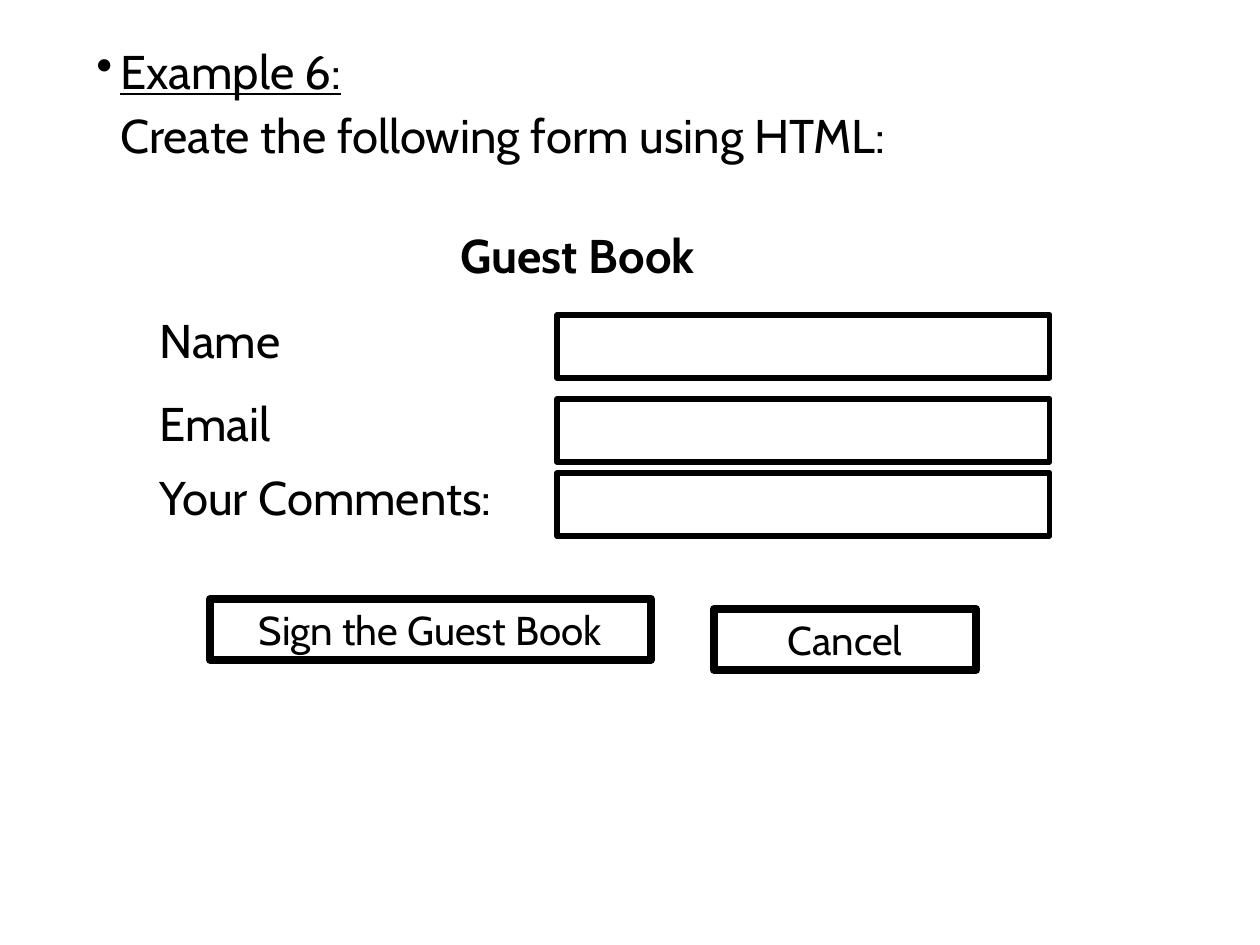
from dataclasses import dataclass

from lxml.etree import SubElement
from pptx import Presentation
from pptx.dml.color import RGBColor
from pptx.enum.shapes import MSO_SHAPE
from pptx.enum.text import MSO_ANCHOR, PP_ALIGN
from pptx.oxml.ns import qn
from pptx.util import Emu, Pt

PX_PER_INCH = 126
SLIDE_WIDTH, SLIDE_HEIGHT = 1260, 945


@dataclass(frozen=True)
class Theme:
    font: str = "Cabin"
    ink: RGBColor = RGBColor(0, 0, 0)
    text_size: float = 27
    button_size: float = 23
    field_line: float = 3
    button_line: float = 4.5


def px(length):
    return Emu(round(length * 914400 / PX_PER_INCH))


class FormSlide:
    def __init__(self, deck, theme):
        self.theme = theme
        self.slide = deck.slides.add_slide(deck.slide_layouts[6])

    def style(self, para, size, align=PP_ALIGN.LEFT, bold=False):
        para.alignment = align
        font = para.font
        font.name, font.size, font.bold = self.theme.font, Pt(size), bold
        font.color.rgb = self.theme.ink

    def text(self, left, top, width, height, *lines, **style):
        box = self.slide.shapes.add_textbox(*map(px, (left, top, width, height)))
        frame = box.text_frame
        frame.word_wrap = True
        frame.text = "\n".join(lines)
        for para in frame.paragraphs:
            self.style(para, self.theme.text_size, **style)
        return frame

    def task(self, left, top, width, height, heading, instruction):
        """Underlined bullet heading with an instruction aligned beneath it."""
        frame = self.text(left, top, width, height, heading, instruction)
        for para in frame.paragraphs:
            para.line_spacing = 0.9
            para.space_before = Pt(7.5)
            para._p.get_or_add_pPr().set("marL", str(px(24)))
        first = frame.paragraphs[0]
        first.font.underline = True
        first.runs[0].font.underline = True
        properties = first._p.get_or_add_pPr()
        properties.set("indent", str(-px(24)))
        bullet = SubElement(properties, qn("a:buChar"))
        bullet.set("char", "•")
        properties.find(qn("a:defRPr")).addprevious(bullet)

    def field(self, left, top, width, height, line_width):
        box = self.slide.shapes.add_shape(
            MSO_SHAPE.RECTANGLE, *map(px, (left, top, width, height)))
        box.shadow.inherit = False
        box.fill.background()
        box.line.color.rgb = self.theme.ink
        box.line.width = Pt(line_width)
        return box

    def button(self, left, top, width, height, caption):
        box = self.field(left, top, width, height, self.theme.button_line)
        frame = box.text_frame
        frame.word_wrap = True
        frame.vertical_anchor = MSO_ANCHOR.TOP
        frame.text = caption
        self.style(frame.paragraphs[0], self.theme.button_size, PP_ALIGN.CENTER)


def main():
    deck = Presentation()
    deck.slide_width, deck.slide_height = px(SLIDE_WIDTH), px(SLIDE_HEIGHT)
    theme = Theme()
    page = FormSlide(deck, theme)

    page.task(84, 42, 1124, 158, "Example 6:",
              "Create the following form using HTML:")
    page.text(147, 220, 861, 84, "Guest Book", align=PP_ALIGN.CENTER, bold=True)

    rows = [("Name", 305, 84, 315), ("Email", 388, 74, 399),
            ("Your Comments:", 462, 74, 473)]
    for label, label_top, label_height, field_top in rows:
        page.text(147, label_top, 431, label_height, label)
        page.field(557, field_top, 493, 63, theme.field_line)

    page.button(210, 599, 441, 61, "Sign the Guest Book")
    page.button(714, 609, 262, 61, "Cancel")
    deck.save("out.pptx")


if __name__ == "__main__":
    main()
